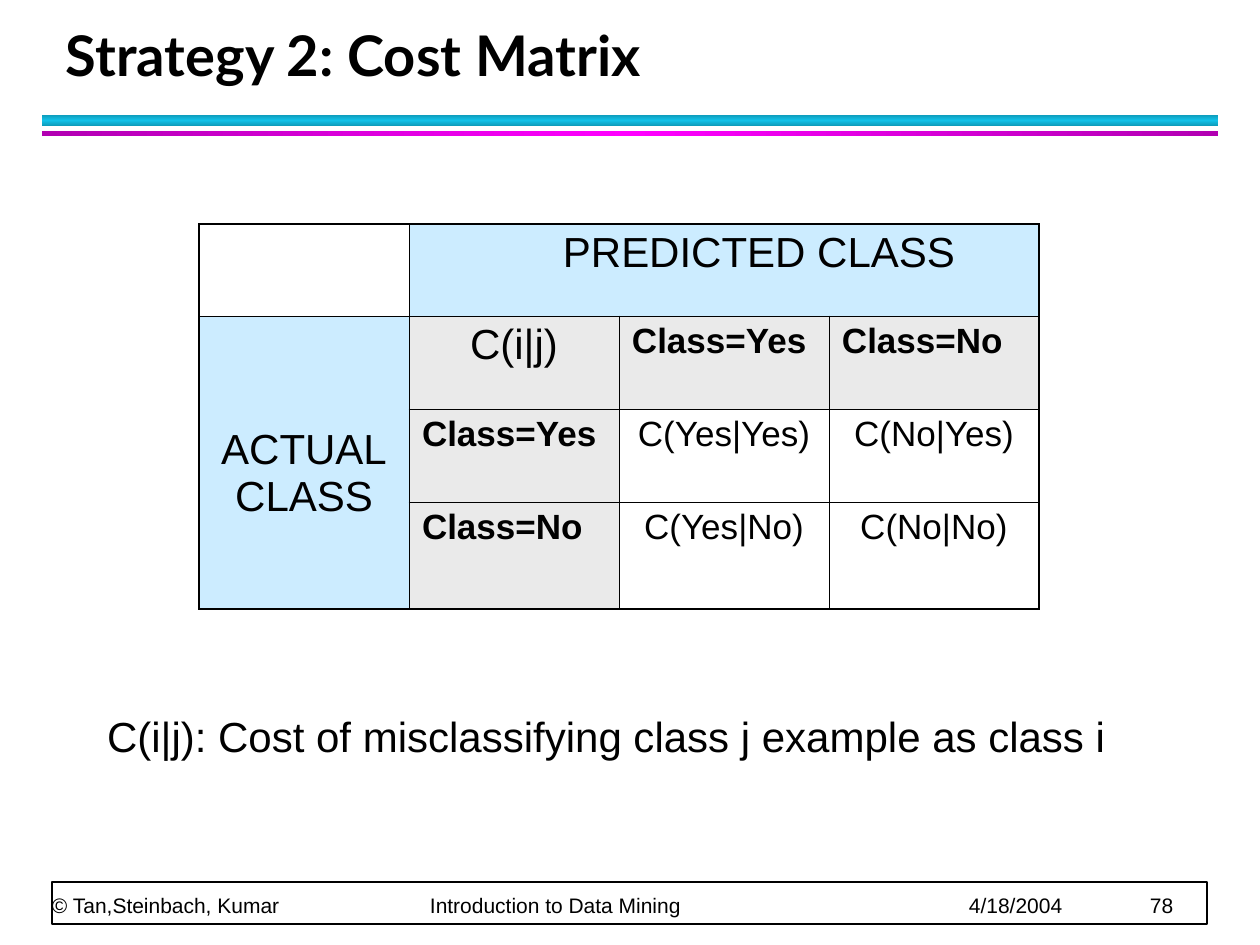
from copy import deepcopy

from lxml.etree import SubElement
from pptx import Presentation
from pptx.dml.color import RGBColor
from pptx.enum.shapes import MSO_SHAPE
from pptx.enum.text import MSO_ANCHOR, PP_ALIGN
from pptx.oxml.ns import qn
from pptx.util import Emu, Pt

SCALE = 914400 // 126
BLACK = RGBColor(0x00, 0x00, 0x00)
WHITE = RGBColor(0xFF, 0xFF, 0xFF)
SKY = RGBColor(0xCC, 0xEC, 0xFF)
GRAY = RGBColor(0xEA, 0xEA, 0xEA)
TEAL = RGBColor(0x0E, 0x9B, 0xBA)
CYAN = RGBColor(0x12, 0xC2, 0xE9)
PLUM = RGBColor(0xB2, 0x00, 0xB2)
PINK = RGBColor(0xFF, 0x00, 0xFF)
LEFT, MID = PP_ALIGN.LEFT, PP_ALIGN.CENTER


def px(n):
    return Emu(n * SCALE)


def add_run(para, text, size, bold=False, face="Arial"):
    run = para.add_run()
    run.text = text
    run.font.size = Pt(size)
    run.font.bold = bold
    run.font.name = face
    run.font.color.rgb = BLACK


def add_text(slide, box, anchor, pad=(13, 6)):
    """Add an empty wrapping text box and return its first paragraph."""
    frame = slide.shapes.add_textbox(*map(px, box)).text_frame
    frame.word_wrap = True
    frame.vertical_anchor = anchor
    frame.margin_left = frame.margin_right = px(pad[0])
    frame.margin_top = frame.margin_bottom = px(pad[1])
    return frame.paragraphs[0]


def add_rect(slide, box):
    rect = slide.shapes.add_shape(MSO_SHAPE.RECTANGLE, *map(px, box))
    rect.shadow.inherit = False
    return rect


def add_bar(slide, box, edge, core, angle):
    """Add a band that shades from edge to core and back to edge."""
    bar = add_rect(slide, box)
    bar.line.fill.background()
    bar.fill.gradient()
    bar.fill.gradient_angle = angle
    stops = bar.element.find(".//" + qn("a:gsLst"))
    stops.append(deepcopy(stops[-1]))
    for stop, color, place in zip(bar.fill.gradient_stops, (edge, core, edge), (0, 0.5, 1)):
        stop.color.rgb = color
        stop.position = place


def add_head(slide, box):
    x, y, w, h = box
    para = add_text(slide, (x + 11, y, w - 34, 73), MSO_ANCHOR.BOTTOM)
    para.line_spacing = Pt(36)
    add_run(para, "Strategy 2: Cost Matrix", 32, True, "Lato")
    add_bar(slide, (x, y + 94, w, 11), TEAL, CYAN, 90)
    add_bar(slide, (x, y + 110, w, 5), PLUM, PINK, 0)


def set_edges(cell, thick):
    """Draw the cell's four sides; those named in thick are heavier."""
    props = cell._tc.get_or_add_tcPr()
    for side in "LRTB":
        width = 1.08 if side in thick else 0.45
        line = SubElement(props, qn("a:ln" + side), w=str(int(Pt(width))))
        fill = SubElement(line, qn("a:solidFill"))
        SubElement(fill, qn("a:srgbClr"), val=str(BLACK))


def set_cell(cell, text, fill, size, bold, align):
    if fill is None:
        cell.fill.background()
    else:
        cell.fill.solid()
        cell.fill.fore_color.rgb = fill
    cell.margin_left = cell.margin_right = px(13)
    cell.margin_top = cell.margin_bottom = px(6)
    para = cell.text_frame.paragraphs[0]
    para.alignment = align
    for n, part in enumerate(text.split("\n")):
        if n:
            para.add_line_break()
        if part:
            add_run(para, part, size, bold)


def add_grid(slide, box):
    big, label, cost = (24, False, MID), (20, True, LEFT), (20, False, MID)
    blank = ("", None, *cost)
    rows = [
        [blank, ("PREDICTED CLASS", SKY, *big), blank, blank],
        [("ACTUAL\nCLASS", SKY, *big), ("C(i|j)", GRAY, *big),
         ("Class=Yes", GRAY, *label), ("Class=No", GRAY, *label)],
        [blank, ("Class=Yes", GRAY, *label),
         ("C(Yes|Yes)", None, *cost), ("C(No|Yes)", None, *cost)],
        [blank, ("Class=No", GRAY, *label),
         ("C(Yes|No)", None, *cost), ("C(No|No)", None, *cost)],
    ]
    table = slide.shapes.add_table(4, 4, *map(px, box)).table
    table.first_row = table.horz_banding = False
    for col in table.columns:
        col.width = px(box[2] // 4)
    for row, high in zip(table.rows, (92, 93, 93, 107)):
        row.height = px(high)
    table.cell(0, 1).merge(table.cell(0, 3))
    table.cell(1, 0).merge(table.cell(3, 0))
    for r, row in enumerate(rows):
        for c, item in enumerate(row):
            cell = table.cell(r, c)
            right = c + cell.span_width if cell.is_merge_origin else c + 1
            low = r + cell.span_height if cell.is_merge_origin else r + 1
            thick = [side for side, outer in
                     zip("LRTB", (c == 0, right == 4, r == 0, low == 4)) if outer]
            set_edges(cell, thick)
            set_cell(cell, *item)
    table.cell(0, 1).margin_left = px(83)
    table.cell(1, 0).margin_top = px(111)


def add_note(slide, box):
    para = add_text(slide, box, MSO_ANCHOR.TOP)
    add_run(para, "C(i|j): Cost of misclassifying class j example as class i", 24)


def add_foot(slide, box):
    x, y, w, h = box
    frame = add_rect(slide, (x, y + 35, w, 42))
    frame.fill.solid()
    frame.fill.fore_color.rgb = WHITE
    frame.line.color.rgb = BLACK
    frame.line.width = Pt(1)
    para = add_text(slide, (x, y, w, 71), MSO_ANCHOR.BOTTOM, (0, 0))
    tabs = SubElement(para._p.get_or_add_pPr(), qn("a:tabLst"))
    for stop in (378, 917, 1098):
        SubElement(tabs, qn("a:tab"), pos=str(px(stop)), algn="l")
    para.line_spacing = Pt(20)
    parts = ("© Tan,Steinbach, Kumar", "Introduction to Data Mining", "4/18/2004", "78")
    add_run(para, "\t".join(parts), 12)


def main():
    deck = Presentation()
    deck.slide_width, deck.slide_height = px(1260), px(945)
    slide = deck.slides.add_slide(deck.slide_layouts[6])
    add_head(slide, (42, 21, 1176, 115))
    add_foot(slide, (52, 847, 1155, 77))
    add_grid(slide, (199, 224, 840, 385))
    add_note(slide, (94, 705, 1082, 126))
    deck.save("out.pptx")


if __name__ == "__main__":
    main()
